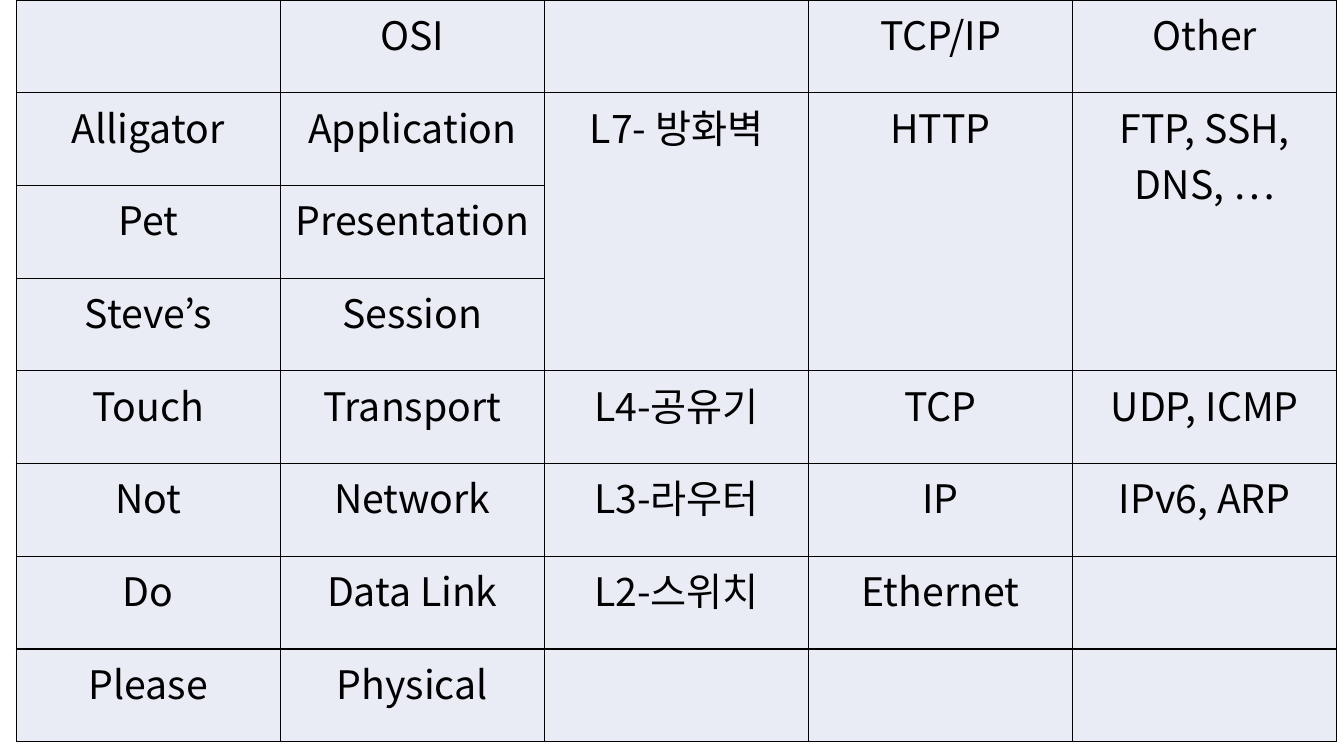
import pptx
import pptx.dml.color
import pptx.enum.text
import pptx.oxml.ns
import pptx.util
import lxml.etree

Inches = pptx.util.Inches
Pt = pptx.util.Pt

FONT = "Noto Sans CJK KR"
TEXT, FILL, BORDER = "000000", "E9EBF5", "000000"
LEFT, TOP, COL_W, ROW_H = 0.16, 0, 2.62, 0.92

LAYERS = [
    ("", "OSI", "", "TCP/IP", "Other"),
    ("Alligator", "Application", "L7- 방화벽", "HTTP", "FTP, SSH, DNS, …"),
    ("Pet", "Presentation", "", "", ""),
    ("Steve’s", "Session", "", "", ""),
    ("Touch", "Transport", "L4-공유기", "TCP", "UDP, ICMP"),
    ("Not", "Network", "L3-라우터", "IP", "IPv6, ARP"),
    ("Do", "Data Link", "L2-스위치", "Ethernet", ""),
    ("Please", "Physical", "", "", ""),
]
MERGED_COLS = (2, 3, 4)
MERGED_ROWS = (1, 3)


def rgb(value):
    """Turn a hex string into a colour."""
    return pptx.dml.color.RGBColor.from_string(value)


def add_child(parent, tag, **attrs):
    """Append a DrawingML element."""
    return lxml.etree.SubElement(parent, pptx.oxml.ns.qn(tag), **attrs)


def set_borders(cell):
    """Draw a thin line on all four sides of a cell."""
    props = cell._tc.get_or_add_tcPr()
    for side in ("L", "R", "T", "B"):
        line = add_child(props, f"a:ln{side}", w=str(Pt(1)))
        add_child(add_child(line, "a:solidFill"), "a:srgbClr", val=BORDER)


def write(cell, text):
    """Write one centred run into a cell."""
    p = cell.text_frame.paragraphs[0]
    p.alignment = pptx.enum.text.PP_ALIGN.CENTER
    r = p.add_run()
    r.text = text
    r.font.size = Pt(28)
    r.font.name = FONT
    r.font.bold = False
    r.font.color.rgb = rgb(TEXT)
    add_child(r.font._element, "a:ea", typeface=FONT)


prs = pptx.Presentation()
prs.slide_width, prs.slide_height = Inches(13.33), Inches(7.5)
s = prs.slides.add_slide(prs.slide_layouts[6])

n_rows, n_cols = len(LAYERS), len(LAYERS[0])
table = s.shapes.add_table(
    n_rows, n_cols, Inches(LEFT), Inches(TOP),
    Inches(COL_W * n_cols), Inches(ROW_H * n_rows)).table
table.first_row = table.horz_banding = False
for col in table.columns:
    col.width = Inches(COL_W)
for row in table.rows:
    row.height = Inches(ROW_H)

for i, layer in enumerate(LAYERS):
    for j, text in enumerate(layer):
        cell = table.cell(i, j)
        set_borders(cell)
        cell.fill.solid()
        cell.fill.fore_color.rgb = rgb(FILL)
        if text:
            write(cell, text)

first, last = MERGED_ROWS
for j in MERGED_COLS:
    table.cell(first, j).merge(table.cell(last, j))

prs.save("out.pptx")
